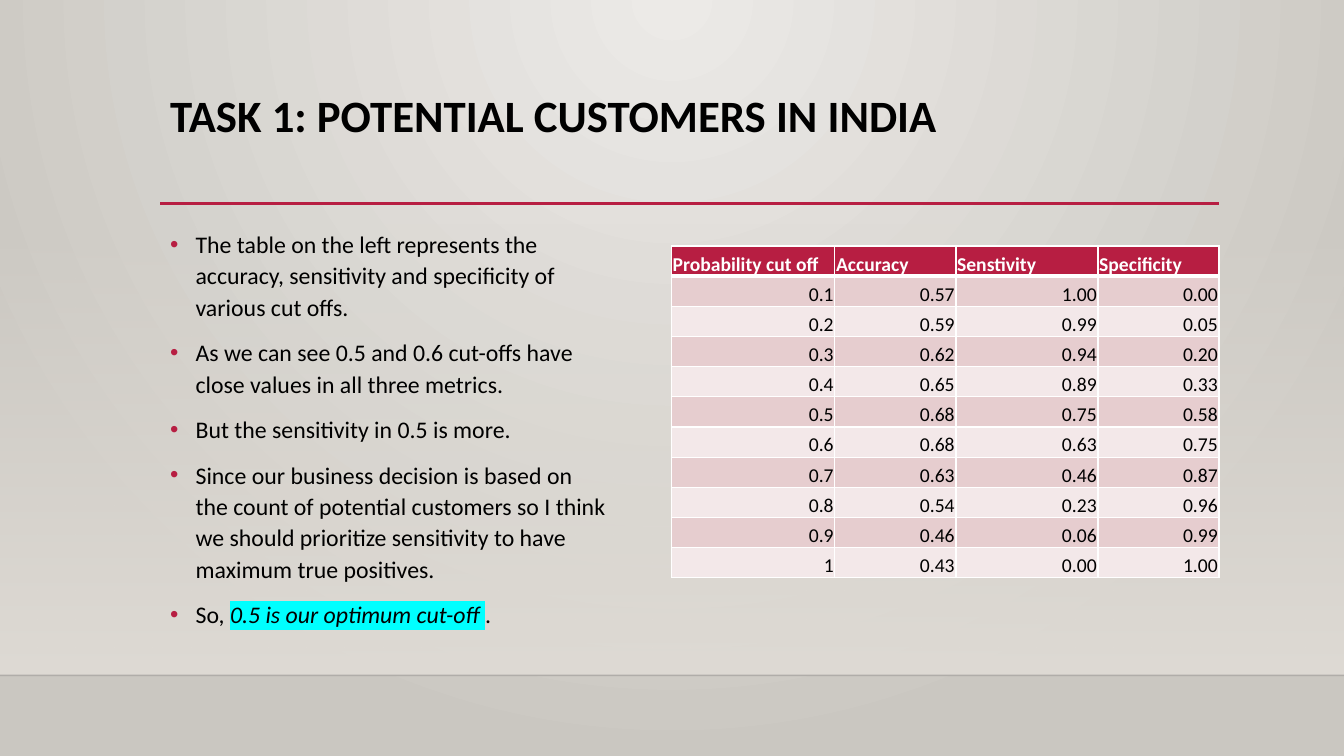
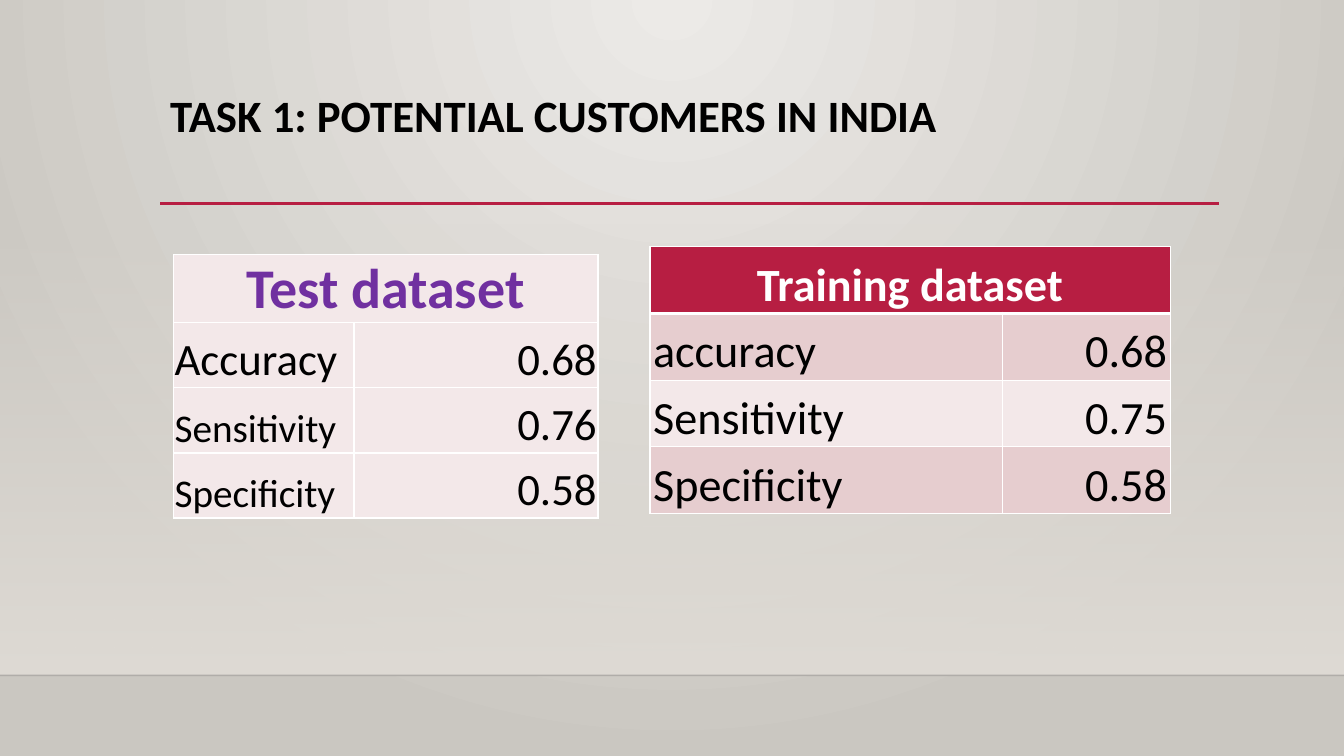
from dataclasses import dataclass, field

from lxml.etree import SubElement
from pptx import Presentation
from pptx.dml.color import RGBColor
from pptx.enum.shapes import MSO_CONNECTOR, MSO_SHAPE
from pptx.enum.text import MSO_ANCHOR, PP_ALIGN
from pptx.oxml import parse_xml
from pptx.oxml.ns import nsdecls, qn
from pptx.util import Cm, Pt

FONT = "Calibri"
COLORS = {
    "glow": "ECEAE7",
    "edge": "CAC7C1",
    "wall": "DFDBD5",
    "floor_line": "000001",
    "accent": "B71E42",
    "text": "000000",
    "white": "FFFFFF",
    "purple": "7030A0",
    "band_dark": "E6CDCF",
    "band_light": "F3E8E9",
    "highlight": "00FFFF",
}
WIDTH, HEIGHT = 33.87, 19.05
MARGIN = 4.04
RULE_Y, FLOOR_Y = 5.13, 17.02
TITLE = "TASK 1: POTENTIAL CUSTOMERS IN INDIA"


@dataclass(frozen=True)
class Passage:
    text: str
    italic: bool = False
    highlight: str | None = None


@dataclass(frozen=True)
class Grid:
    left: float
    top: float
    columns: tuple[float, ...]
    row_height: float
    rows: tuple[tuple[str, ...], ...]
    size: float
    inset: float
    header_size: float
    header_fill: str = "accent"
    header_color: str = "white"
    header_rule: float = 3
    bands: tuple[str, str] = ("band_dark", "band_light")
    numeric_labels: bool = False
    label_sizes: dict[str, float] = field(default_factory=dict)


FINDINGS = (
    (Passage("The table on the left represents the accuracy, sensitivity and "
             "specificity of various cut offs."),),
    (Passage("As we can see 0.5 and 0.6 cut-offs have close values in all three metrics."),),
    (Passage("But the sensitivity in 0.5 is more."),),
    (Passage("Since our business decision is based on the count of potential customers "
             "so I think we should prioritize sensitivity to have maximum true positives."),),
    (Passage("So, "),
     Passage("0.5 is our optimum cut-off ", italic=True, highlight="highlight"),
     Passage(".")),
)

CUT_OFFS = Grid(
    left=16.92, top=6.2, columns=(4.12, 3.05, 3.58, 3.05), row_height=0.76,
    size=14, header_size=14, inset=0.03, numeric_labels=True,
    rows=(
        ("Probability cut off", "Accuracy", "Senstivity", "Specificity"),
        ("0.1", "0.57", "1.00", "0.00"),
        ("0.2", "0.59", "0.99", "0.05"),
        ("0.3", "0.62", "0.94", "0.20"),
        ("0.4", "0.65", "0.89", "0.33"),
        ("0.5", "0.68", "0.75", "0.58"),
        ("0.6", "0.68", "0.63", "0.75"),
        ("0.7", "0.63", "0.46", "0.87"),
        ("0.8", "0.54", "0.23", "0.96"),
        ("0.9", "0.46", "0.06", "0.99"),
        ("1", "0.43", "0.00", "1.00"),
    ),
)
TEST_SCORES = Grid(
    left=4.37, top=6.41, columns=(4.55, 6.15), row_height=1.64,
    size=32, header_size=40, inset=0.03,
    header_fill="band_light", header_color="purple", header_rule=1,
    bands=("band_light", "band_light"),
    label_sizes={"Sensitivity": 28, "Specificity": 28},
    rows=(("Test dataset",), ("Accuracy", "0.68"),
          ("Sensitivity", "0.76"), ("Specificity", "0.58")),
)
TRAINING_SCORES = Grid(
    left=16.38, top=6.22, columns=(8.89, 4.22), row_height=1.68,
    size=33, header_size=33, inset=0.08,
    rows=(("Training dataset",), ("accuracy", "0.68"),
          ("Sensitivity", "0.75"), ("Specificity", "0.58")),
)


def rgb(color: str) -> RGBColor:
    return RGBColor.from_string(COLORS[color])


def add_text(paragraph, text: str, *, size: float, color: str = "text",
             bold: bool = False, italic: bool = False,
             highlight: str | None = None, align=None) -> None:
    if align is not None:
        paragraph.alignment = align
    run = paragraph.add_run()
    run.text = text
    font = run.font
    font.name, font.size, font.bold, font.italic = FONT, Pt(size), bold, italic
    font.color.rgb = rgb(color)
    if highlight:
        marker = parse_xml(f'<a:highlight {nsdecls("a")}>'
                           f'<a:srgbClr val="{COLORS[highlight]}"/></a:highlight>')
        font._element.find(qn("a:solidFill")).addnext(marker)


def set_gradient(fill, owner, stops: tuple[tuple[str, int], ...], direction: str) -> None:
    fill.gradient()
    old = owner.find(".//" + qn("a:gradFill"))
    marks = "".join(
        f'<a:gs pos="{position * 100000}"><a:srgbClr val="{COLORS[color]}">'
        f'<a:alpha val="{opacity * 1000}"/></a:srgbClr></a:gs>'
        for position, (color, opacity) in enumerate(stops))
    old.getparent().replace(old, parse_xml(
        f'<a:gradFill {nsdecls("a")} rotWithShape="1"><a:gsLst>{marks}</a:gsLst>'
        f'{direction}</a:gradFill>'))


def add_rule(slide, left: float, right: float, y: float, color: str,
             width: float, opacity: int = 100) -> None:
    rule = slide.shapes.add_connector(MSO_CONNECTOR.STRAIGHT,
                                      Cm(left), Cm(y), Cm(right), Cm(y))
    rule.line.color.rgb = rgb(color)
    rule.line.width = Pt(width)
    properties = rule._element.spPr
    if opacity < 100:
        tint = properties.find(".//" + qn("a:srgbClr"))
        SubElement(tint, qn("a:alpha")).set("val", str(opacity * 1000))
    SubElement(properties, qn("a:effectLst"))


def add_frame(slide, left: float, top: float, width: float, height: float):
    frame = slide.shapes.add_textbox(Cm(left), Cm(top), Cm(width), Cm(height)).text_frame
    frame.word_wrap = True
    return frame


def add_base(deck, title: str):
    slide = deck.slides.add_slide(deck.slide_layouts[6])
    set_gradient(slide.background.fill, slide._element, (("glow", 100), ("edge", 100)),
                 '<a:path path="circle"><a:fillToRect l="43000" t="0" r="43000" '
                 'b="100000"/></a:path>')
    wall = slide.shapes.add_shape(MSO_SHAPE.RECTANGLE, 0, Cm(5.61),
                                  Cm(WIDTH), Cm(FLOOR_Y - 5.61))
    wall.shadow.inherit = False
    wall.line.fill.background()
    set_gradient(wall.fill, wall._element, (("wall", 0), ("wall", 100)),
                 '<a:lin ang="5400000" scaled="0"/>')
    add_rule(slide, 0, WIDTH, FLOOR_Y, "floor_line", 1, opacity=20)
    add_rule(slide, MARGIN, 30.73, RULE_Y, "accent", 2.5)
    heading = add_frame(slide, MARGIN, 2.24, 26.67, 2.92).paragraphs[0]
    heading.line_spacing = 0.9
    add_text(heading, title, size=32, bold=True)
    return slide


def add_findings(slide, findings: tuple[tuple[Passage, ...], ...]) -> None:
    frame = add_frame(slide, MARGIN, 5.59, 11.56, 11.23)
    for index, passages in enumerate(findings):
        paragraph = frame.add_paragraph() if index else frame.paragraphs[0]
        paragraph.line_spacing = 1.1
        paragraph.space_before = Pt(10 if index else 0)
        properties = paragraph._p.get_or_add_pPr()
        properties.set("marL", str(Cm(0.64)))
        properties.set("indent", str(-Cm(0.64)))
        bullet_color = SubElement(properties, qn("a:buClr"))
        SubElement(bullet_color, qn("a:srgbClr")).set("val", COLORS["accent"])
        SubElement(properties, qn("a:buFont")).set("typeface", "Arial")
        SubElement(properties, qn("a:buChar")).set("char", "•")
        for passage in passages:
            add_text(paragraph, passage.text, size=17, italic=passage.italic,
                     highlight=passage.highlight)


def set_borders(cell, top: float, bottom: float) -> None:
    properties = cell._tc.get_or_add_tcPr()
    widths = {"lnL": 1, "lnR": 1, "lnT": top, "lnB": bottom}
    for index, (side, width) in enumerate(widths.items()):
        properties.insert(index, parse_xml(
            f'<a:{side} {nsdecls("a")} w="{Pt(width)}"><a:solidFill>'
            f'<a:srgbClr val="{COLORS["white"]}"/></a:solidFill></a:{side}>'))


def add_grid(slide, grid: Grid) -> None:
    table = slide.shapes.add_table(
        len(grid.rows), len(grid.columns), Cm(grid.left), Cm(grid.top),
        Cm(sum(grid.columns)), Cm(grid.row_height * len(grid.rows))).table
    table.first_row = table.horz_banding = False
    for column, width in zip(table.columns, grid.columns):
        column.width = Cm(width)
    spanning = len(grid.rows[0]) == 1
    if spanning:
        table.cell(0, 0).merge(table.cell(0, len(grid.columns) - 1))
    for row, values in enumerate(grid.rows):
        table.rows[row].height = Cm(grid.row_height)
        header = row == 0
        for column in range(len(grid.columns)):
            cell = table.cell(row, column)
            cell.margin_left = cell.margin_right = cell.margin_top = Cm(grid.inset)
            cell.margin_bottom = 0
            cell.vertical_anchor = MSO_ANCHOR.BOTTOM
            cell.fill.solid()
            cell.fill.fore_color.rgb = rgb(
                grid.header_fill if header else grid.bands[(row - 1) % 2])
            set_borders(cell, top=grid.header_rule if row == 1 else 1,
                        bottom=grid.header_rule if header else 1)
            if column >= len(values):
                continue
            value = values[column]
            if header:
                align = PP_ALIGN.CENTER if spanning else PP_ALIGN.LEFT
            else:
                numeric = column > 0 or grid.numeric_labels
                align = PP_ALIGN.RIGHT if numeric else PP_ALIGN.LEFT
            add_text(cell.text_frame.paragraphs[0], value, align=align, bold=header,
                     size=grid.header_size if header
                     else grid.label_sizes.get(value, grid.size),
                     color=grid.header_color if header else "text")


def main() -> None:
    deck = Presentation()
    deck.slide_width, deck.slide_height = Cm(WIDTH), Cm(HEIGHT)
    cut_off_slide = add_base(deck, TITLE)
    add_findings(cut_off_slide, FINDINGS)
    add_grid(cut_off_slide, CUT_OFFS)
    score_slide = add_base(deck, TITLE)
    for scores in (TEST_SCORES, TRAINING_SCORES):
        add_grid(score_slide, scores)
    deck.save("out.pptx")


if __name__ == "__main__":
    main()
